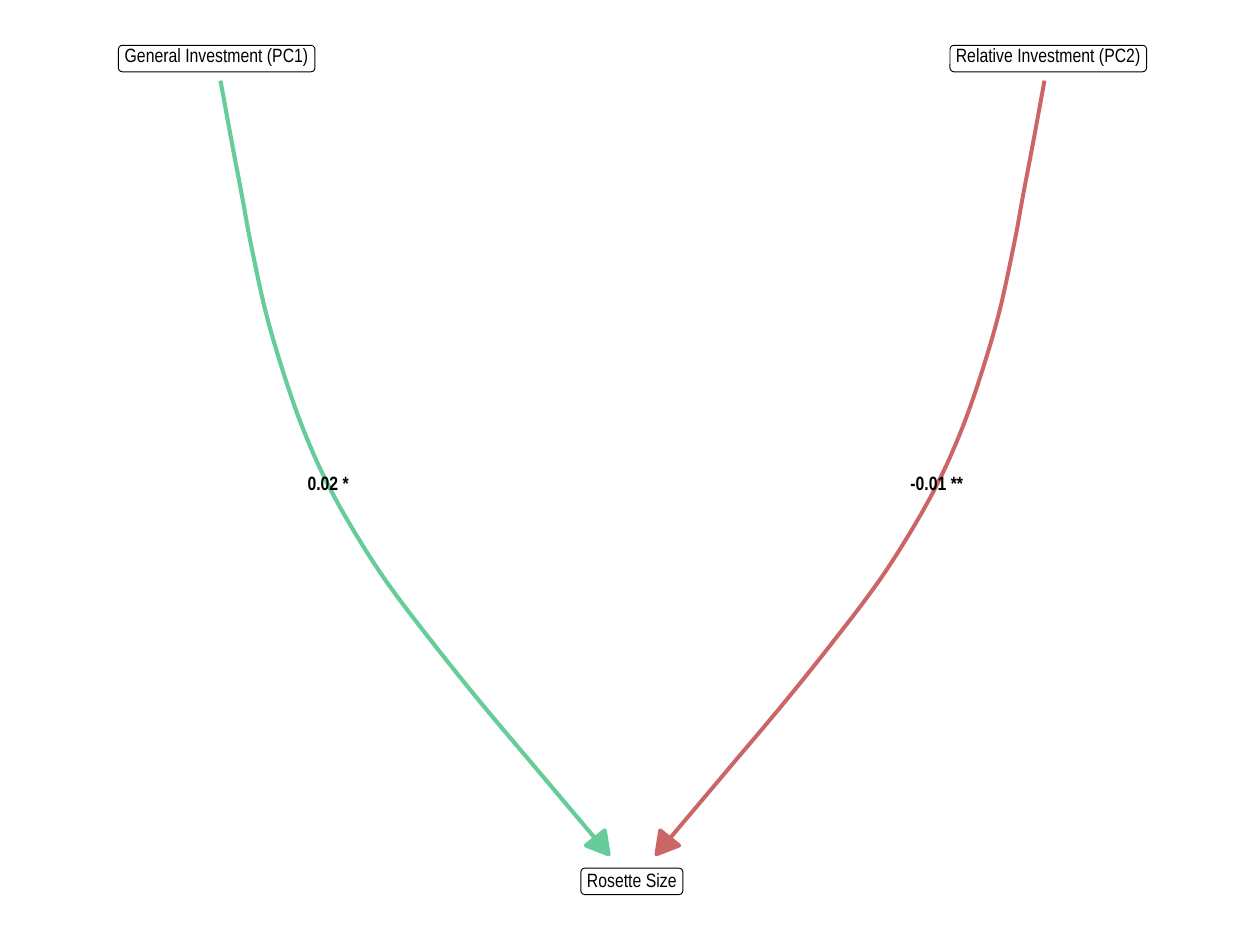
from lxml.etree import SubElement
from pptx import Presentation
from pptx.dml.color import RGBColor
from pptx.enum.shapes import MSO_SHAPE
from pptx.enum.text import MSO_ANCHOR, PP_ALIGN
from pptx.oxml.ns import qn
from pptx.util import Inches, Pt

COLS, ROWS = 100, 75
WIDE, HIGH = Inches(10), Inches(7.5)
KNOTS = [(0, 0), (0.9, 4.9), (1.7, 9.1), (2.4, 12.9), (3.6, 18.4),
         (5, 23.2), (6.5, 27.5), (8.3, 31.6), (10.5, 35.6), (13.2, 39.8),
         (16.6, 44.3), (20.6, 49.3), (25.4, 55), (30.8, 61.4)]
HEAD = [(29, 60.7), (30.8, 61.4), (30.5, 59.5)]
STEPS = 8


def cell(col, row):
    return round(col * WIDE / COLS), round(row * HIGH / ROWS)


def paint(color):
    return RGBColor.from_string(color)


def write(shape, text, bold=False, lift=0):
    frame = shape.text_frame
    frame.text = text
    frame.word_wrap = False
    frame.vertical_anchor = MSO_ANCHOR.MIDDLE
    frame.margin_left = frame.margin_right = frame.margin_top = 0
    frame.margin_bottom = cell(0, lift)[1]
    para = frame.paragraphs[0]
    para.alignment = PP_ALIGN.CENTER
    para.line_spacing = Pt(11)
    font = para.runs[0].font
    font.name, font.size, font.bold = "Arial Narrow", Pt(11), bold
    font.color.rgb = paint("000000")


def spline(knots):
    ends = [knots[0], *knots, knots[-1]]
    curve = [knots[0]]
    for a, b, c, d in zip(ends, ends[1:], ends[2:], ends[3:]):
        for step in range(1, STEPS + 1):
            t = step / STEPS
            curve.append(tuple(
                q + t * ((r - p) + t * ((2 * p - 5 * q + 4 * r - s)
                         + t * (3 * q - p - 3 * r + s))) / 2
                for p, q, r, s in zip(a, b, c, d)))
    return curve


def trace(slide, points, color, width, close):
    spots = [cell(*point) for point in points]
    maker = slide.shapes.build_freeform(*spots[0])
    maker.add_line_segments(spots[1:], close=close)
    shape = maker.convert_to_shape()
    shape.shadow.inherit = False
    if close:
        shape.fill.solid()
        shape.fill.fore_color.rgb = paint(color)
    else:
        shape.fill.background()
    shape.line.color.rgb = paint(color)
    shape.line.width = Pt(width)
    SubElement(shape.line._get_or_add_ln(), qn("a:round"))


def arrow(slide, box, text, color, width, flip=False):
    left, top, wide, high = box

    def place(points):
        return [(left + (wide - x if flip else x), top + y) for x, y in points]

    trace(slide, place(spline(KNOTS)), color, width, False)
    trace(slide, place(HEAD), color, width, True)
    mid, row = place([(8.55, 32.05)])[0]
    label = slide.shapes.add_textbox(*cell(mid - 2.1, row - 0.55), *cell(4.2, 1.1))
    write(label, text, bold=True)


def node(slide, box, text, lift=0):
    left, top, wide, high = box
    shape = slide.shapes.add_shape(
        MSO_SHAPE.ROUNDED_RECTANGLE, *cell(left, top), *cell(wide, high))
    shape.adjustments[0] = 0.15
    shape.shadow.inherit = False
    shape.fill.solid()
    shape.fill.fore_color.rgb = paint("FFFFFF")
    shape.line.color.rgb = paint("000000")
    shape.line.width = Pt(0.53)
    write(shape, text, lift=lift)


def main():
    deck = Presentation()
    deck.slide_width, deck.slide_height = WIDE, HIGH
    slide = deck.slides.add_slide(deck.slide_layouts[6])
    back = slide.background.fill
    back.solid()
    back.fore_color.rgb = paint("FFFFFF")
    arrow(slide, (17.5, 6.4, 30.8, 61.4), "0.02 *", "66CC99", 2.34)
    arrow(slide, (52.1, 6.4, 30.8, 61.4), "-0.01 **", "CC6666", 2.27, flip=True)
    node(slide, (9.4, 3.6, 15.6, 2.1), "General Investment (PC1)", lift=0.3)
    node(slide, (75.4, 3.6, 15.6, 2.1), "Relative Investment (PC2)", lift=0.3)
    node(slide, (46.1, 68.9, 8.1, 2.1), "Rosette Size")
    deck.save("out.pptx")


if __name__ == "__main__":
    main()
